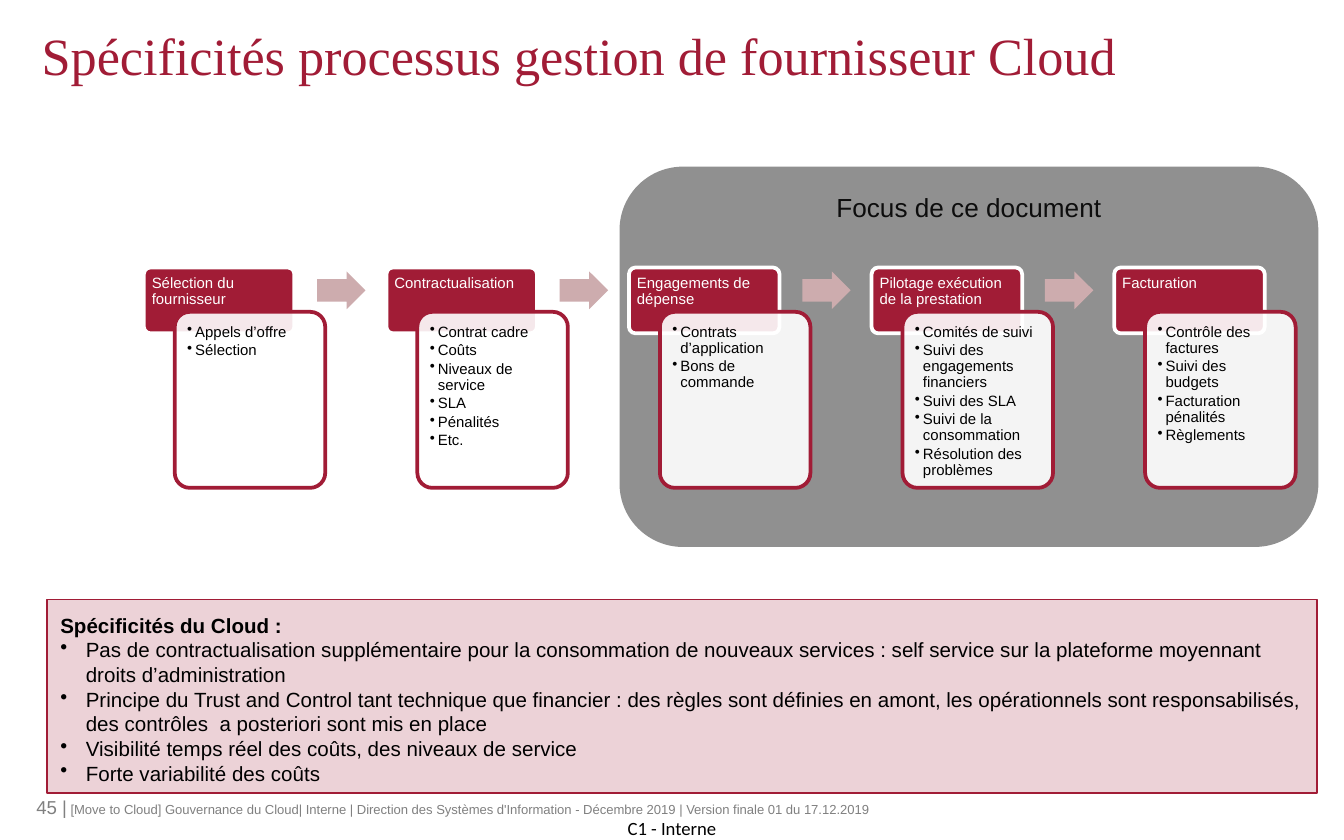
from pptx import Presentation
from pptx.dml.color import RGBColor
from pptx.enum.shapes import MSO_SHAPE as SHAPE
from pptx.enum.text import MSO_ANCHOR as ANCHOR, MSO_AUTO_SIZE as FIT, PP_ALIGN as ALIGN
from pptx.oxml.ns import qn
from pptx.util import Emu, Pt
from lxml.etree import SubElement

RED, WHITE, BLACK = "A11C36", "FFFFFF", "000000"
STEPS = [
    ("Sélection du fournisseur", ["Appels d’offre", "Sélection"]),
    ("Contractualisation",
     ["Contrat cadre", "Coûts", "Niveaux de service", "SLA", "Pénalités", "Etc."]),
    ("Engagements de dépense", ["Contrats d’application", "Bons de commande"]),
    ("Pilotage exécution de la prestation",
     ["Comités de suivi", "Suivi des engagements financiers", "Suivi des SLA",
      "Suivi de la consommation", "Résolution des problèmes"]),
    ("Facturation",
     ["Contrôle des factures", "Suivi des budgets", "Facturation pénalités", "Règlements"]),
]
SPECIFICS = [
    "Pas de contractualisation supplémentaire pour la consommation de nouveaux services : "
    "self service sur la plateforme moyennant droits d’administration",
    "Principe du Trust and Control tant technique que financier : des règles sont définies "
    "en amont, les opérationnels sont responsabilisés, des contrôles  a posteriori sont mis en place",
    "Visibilité temps réel des coûts, des niveaux de service",
    "Forte variabilité des coûts",
]
FOOTER = (" [Move to Cloud] Gouvernance du Cloud| Interne | Direction des Systèmes "
          "d'Information - Décembre 2019 | Version finale 01 du 17.12.2019")


def px(n):
    return Emu(n * 4572)


def rgb(color):
    return RGBColor.from_string(color)


class Deck:
    font = "Arial"

    def __init__(self, width, height):
        self.prs = Presentation()
        self.prs.slide_width, self.prs.slide_height = px(width), px(height)
        self.s = self.prs.slides.add_slide(self.prs.slide_layouts[5])

    def style(self, r, size, color, font=None, bold=False):
        r.font.size, r.font.name, r.font.bold = Pt(size), font or self.font, bold
        r.font.color.rgb = rgb(color)

    def frame(self, sp, insets, anchor=ANCHOR.TOP):
        tf = sp.text_frame
        tf.word_wrap, tf.auto_size, tf.vertical_anchor = True, FIT.NONE, anchor
        tf.margin_left, tf.margin_top, tf.margin_right, tf.margin_bottom = map(px, insets)
        return tf

    def lines(self, tf, lines, size, color, align=ALIGN.LEFT, spacing=1.0, after=0):
        tf.text = "\n".join(lines)
        for p in tf.paragraphs:
            p.alignment, p.line_spacing, p.space_after = align, spacing, Pt(after)
            for r in p.runs:
                self.style(r, size, color)

    def bullet(self, p, indent):
        pPr = p._p.get_or_add_pPr()
        pPr.set("marL", str(px(indent)))
        pPr.set("indent", str(px(-indent)))
        SubElement(pPr, qn("a:buChar")).set("char", "•")

    def title(self, box, text):
        sp = self.s.shapes.title
        sp.left, sp.top, sp.width, sp.height = map(px, box)
        tf = self.frame(sp, (8, 8, 0, 0))
        tf.text = text
        tf.paragraphs[0].alignment = ALIGN.LEFT
        self.style(tf.paragraphs[0].runs[0], 28, RED, "Times New Roman")

    def text(self, box, runs, anchor=ANCHOR.TOP):
        sp = self.s.shapes.add_textbox(*map(px, box))
        p = self.frame(sp, (0, 0, 0, 0), anchor).paragraphs[0]
        for text, size, color, font in runs:
            r = p.add_run()
            r.text = text
            self.style(r, size, color, font)

    def shape(self, kind, box, fill, line=None, weight=2, adj=(), alpha=None):
        sp = self.s.shapes.add_shape(kind, *map(px, box))
        sp.shadow.inherit = False
        for i, value in enumerate(adj):
            sp.adjustments[i] = value
        sp.fill.solid()
        sp.fill.fore_color.rgb = rgb(fill)
        if alpha:
            clr = sp._element.spPr.find(qn("a:solidFill"))[0]
            SubElement(clr, qn("a:alpha")).set("val", str(alpha * 1000))
        if line:
            sp.line.color.rgb, sp.line.width = rgb(line), Pt(weight)
        else:
            sp.line.fill.background()
        return sp

    def step(self, x, heading, items):
        head = self.shape(SHAPE.ROUNDED_RECTANGLE, (x, 398, 224, 98), RED, WHITE, adj=[0.1])
        self.lines(self.frame(head, (9, 9, 9, 6)), [heading], 8, WHITE, spacing=0.9)
        body = self.shape(SHAPE.ROUNDED_RECTANGLE, (x + 46, 464, 224, 262), WHITE, RED,
                          adj=[0.1], alpha=90)
        tf = self.frame(body, (12, 12, 12, 12))
        self.lines(tf, items, 8, BLACK, spacing=0.9, after=1.3)
        for p in tf.paragraphs:
            self.bullet(p, 12)

    def arrow(self, x):
        self.shape(SHAPE.RIGHT_ARROW, (x, 404, 72, 56), "CDACAE", adj=[0.6, 0.5])

    def focus(self, box, text):
        sp = self.shape(SHAPE.ROUNDED_RECTANGLE, box, "909090")
        self.lines(self.frame(sp, (20, 10, 20, 10)), [text], 14, "0D0D0D", ALIGN.CENTER)

    def panel(self, box, heading, items):
        sp = self.shape(SHAPE.RECTANGLE, box, "ECD2D7", RED, 0.75)
        tf = self.frame(sp, (20, 20, 20, 20))
        self.lines(tf, [heading] + items, 11, BLACK)
        first, *rest = tf.paragraphs
        first.runs[0].font.bold = True
        for p in rest:
            self.bullet(p, 38)


def main():
    d = Deck(2000, 1250)
    d.title((54, 26, 1906, 236), "Spécificités processus gestion de fournisseur Cloud")
    d.text((54, 1176, 1378, 50),
           [("45 |", 10, "808080", "Arial"), (FOOTER, 7, "808080", "Arial")], ANCHOR.MIDDLE)
    d.text((934, 1216, 140, 34), [("C1 - Interne", 10, BLACK, "Calibri")])
    d.focus((922, 248, 1040, 566), "Focus de ce document")
    for i, (heading, items) in enumerate(STEPS):
        x = 214 + 361 * i
        d.step(x, heading, items)
        if i < len(STEPS) - 1:
            d.arrow(x + 258)
    d.panel((70, 892, 1890, 288), "Spécificités du Cloud :", SPECIFICS)
    d.prs.save("out.pptx")


if __name__ == "__main__":
    main()
